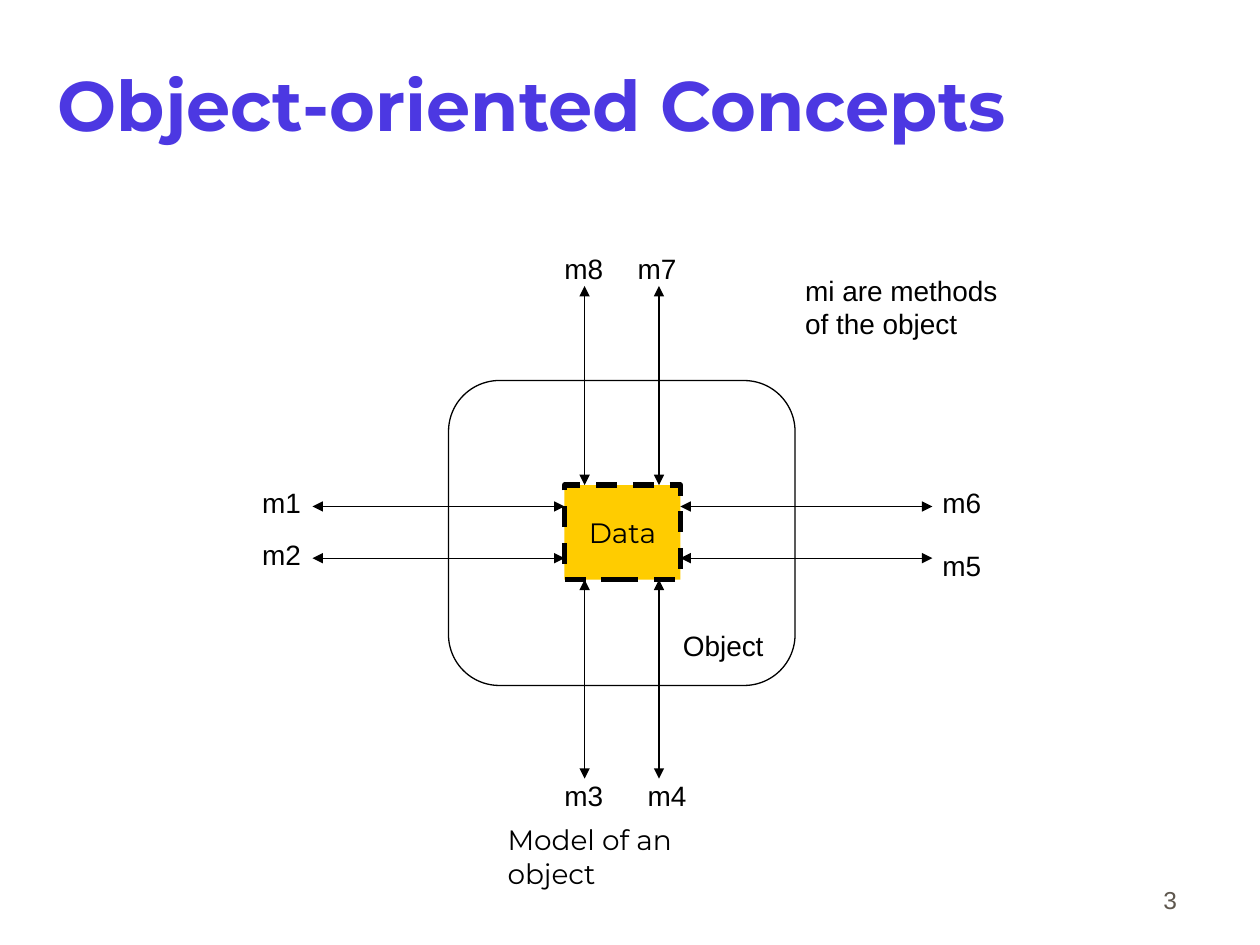
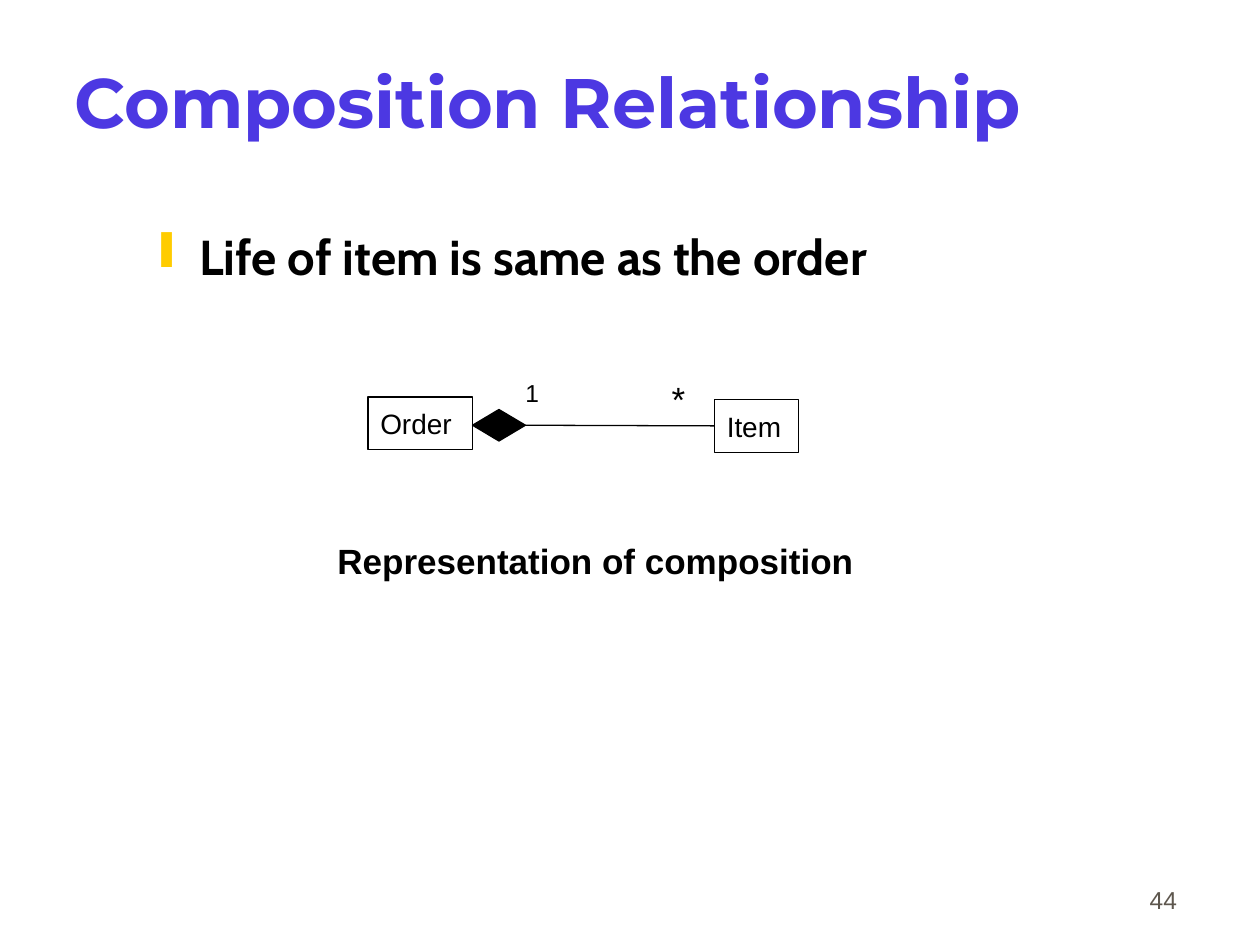
from pptx import Presentation
from pptx.dml.color import RGBColor
from pptx.enum.dml import MSO_LINE
from pptx.enum.shapes import MSO_CONNECTOR, MSO_SHAPE
from pptx.enum.text import MSO_ANCHOR, MSO_AUTO_SIZE, PP_ALIGN
from pptx.oxml.ns import qn
from pptx.util import Inches, Pt
from lxml import etree

RECT, ROUNDED = MSO_SHAPE.RECTANGLE, MSO_SHAPE.ROUNDED_RECTANGLE
DIAMOND = MSO_SHAPE.FLOWCHART_DECISION
STRAIGHT, DASH = MSO_CONNECTOR.STRAIGHT, MSO_LINE.DASH
LEFT, CENTER, RIGHT = PP_ALIGN.LEFT, PP_ALIGN.CENTER, PP_ALIGN.RIGHT
TOP, MIDDLE, BOTTOM = MSO_ANCHOR.TOP, MSO_ANCHOR.MIDDLE, MSO_ANCHOR.BOTTOM
SIDE_LEFT, SIDE_RIGHT = 1, 3

BLACK, PURPLE, YELLOW, GREY = "000000", "4C38E2", "FFCC00", "5E574E"
SANS, DISPLAY, BODY = "Arial", "Montserrat", "Cabin"
TEXT_INSETS, TITLE_INSETS, NO_INSETS = (0.1, 0.05), (0.02, 0.05), (0, 0)
TITLE_SIZE = (8.5, 1.25)
NUMBER_BOX = (7.36, 6.81, 2.08, 0.5)

# Object model: boxes are left, top, width, height in inches
OBJECT_BOX = (3.56, 3.02, 2.75, 2.42)
DATA_BOX = (4.48, 3.85, 0.92, 0.75)
REACH_ACROSS, REACH_UP = 2, 1.58
LABEL_SIZE = (0.31, 0.27)
# Method, side of the data it touches, arrow's place on that side, label's corner
METHODS = [
    ("m1", "left", 4.02, (2.08, 3.85)),
    ("m2", "left", 4.43, (2.08, 4.27)),
    ("m3", "bottom", 4.64, (4.48, 6.18)),
    ("m4", "bottom", 5.23, (5.14, 6.18)),
    ("m5", "right", 4.43, (7.48, 4.35)),
    ("m6", "right", 4.02, (7.48, 3.85)),
    ("m7", "top", 5.23, (5.06, 2)),
    ("m8", "top", 4.64, (4.48, 2)),
]
OBJECT_NOTES = [
    ("Object", (5.42, 4.99, 0.7, 0.27), SANS, NO_INSETS),
    ("mi are methods\nof the object", (6.39, 2.17, 1.6, 0.53), SANS, NO_INSETS),
    ("Model of an object", (3.93, 6.48, 2.14, 0.37), DISPLAY, TEXT_INSETS),
]

# Composition diagram
CLASSES = [("Order", (2.92, 3.15, 0.83, 0.42)), ("Item", (5.67, 3.17, 0.67, 0.42))]
DIAMOND_BOX = (3.75, 3.25, 0.42, 0.25)
MULTIPLICITIES = [("1", (4.17, 3, 0.11, 0.23), 14), ("*", (5.33, 3, 0.11, 0.33), 20)]
STATEMENT = ("Life of item is same as the order", (0.75, 1.75, 8.5, 0.83))
CAPTION = ("Representation of composition", (2.58, 4.23, 4.3, 0.44))


def rgb(code):
    return RGBColor.from_string(code)


def inches(values):
    return [Inches(value) for value in values]


def write(shape, text, size=16, font=SANS, color=BLACK, bold=False, align=LEFT,
          anchor=TOP, insets=TEXT_INSETS, wrap=True, bullet=None):
    frame = shape.text_frame
    frame.text = text
    frame.word_wrap = wrap
    frame.auto_size = MSO_AUTO_SIZE.NONE
    frame.vertical_anchor = anchor
    frame.margin_left = frame.margin_right = Inches(insets[0])
    frame.margin_top = frame.margin_bottom = Inches(insets[1])
    for paragraph in frame.paragraphs:
        paragraph.alignment = align
        if bullet:
            add_bullet(paragraph, *bullet)
        for run in paragraph.runs:
            run.font.size, run.font.name, run.font.bold = Pt(size), font, bold
            run.font.color.rgb = rgb(color)


def add_bullet(paragraph, char, color, margin, indent):
    properties = paragraph._p.get_or_add_pPr()
    properties.set("marL", str(Inches(margin)))
    properties.set("indent", str(Inches(indent)))
    bullet_color = etree.SubElement(properties, qn("a:buClr"))
    etree.SubElement(bullet_color, qn("a:srgbClr"), val=color)
    etree.SubElement(properties, qn("a:buChar"), char=char)


def add_text(slide, text, box, **style):
    write(slide.shapes.add_textbox(*inches(box)), text, **style)


def add_box(slide, preset, box, fill=None, weight=0.75, dash=None):
    shape = slide.shapes.add_shape(preset, *inches(box))
    shape.shadow.inherit = False
    if fill:
        shape.fill.solid()
        shape.fill.fore_color.rgb = rgb(fill)
    else:
        shape.fill.background()
    shape.line.color.rgb = rgb(BLACK)
    shape.line.width = Pt(weight)
    if dash:
        shape.line.dash_style = dash
    return shape


def add_line(slide, start, end, arrows=False):
    line = slide.shapes.add_connector(STRAIGHT, *inches(start + end))
    line.line.color.rgb = rgb(BLACK)
    line.line.width = Pt(0.75)
    if arrows:
        for tip in ("a:headEnd", "a:tailEnd"):
            etree.SubElement(line.line._get_or_add_ln(), qn(tip), type="triangle")
    etree.SubElement(line._element.spPr, qn("a:effectLst"))
    return line


def add_slide(prs, title, corner, number):
    slide = prs.slides.add_slide(prs.slide_layouts[5])
    heading = slide.shapes.title
    heading.left, heading.top, heading.width, heading.height = inches(corner + TITLE_SIZE)
    write(heading, title, size=40, font=DISPLAY, color=PURPLE, bold=True,
          anchor=MIDDLE, insets=TITLE_INSETS)
    add_text(slide, str(number), NUMBER_BOX, size=14, color=GREY, align=RIGHT, anchor=BOTTOM)
    return slide


def arrow_ends(side, place):
    """Return the outer end and the end that touches the data box."""
    left, top, width, height = DATA_BOX
    if side in ("left", "right"):
        edge, step = (left, -REACH_ACROSS) if side == "left" else (left + width, REACH_ACROSS)
        return (edge + step, place), (edge, place)
    edge, step = (top, -REACH_UP) if side == "top" else (top + height, REACH_UP)
    return (place, edge + step), (place, edge)


def build_object_model(prs):
    slide = add_slide(prs, "Object-oriented Concepts", (0.44, 0.2), 3)
    add_box(slide, ROUNDED, OBJECT_BOX)
    data = add_box(slide, RECT, DATA_BOX, fill=YELLOW, weight=3, dash=DASH)
    write(data, "Data", font=DISPLAY, align=CENTER, anchor=MIDDLE)
    for method, side, place, corner in METHODS:
        add_line(slide, *arrow_ends(side, place), arrows=True)
        add_text(slide, method, corner + LABEL_SIZE, insets=NO_INSETS, wrap=False)
    for note, box, font, insets in OBJECT_NOTES:
        add_text(slide, note, box, font=font, insets=insets)


def build_composition(prs):
    slide = add_slide(prs, "Composition Relationship", (0.57, 0.17), 44)
    statement, box = STATEMENT
    add_text(slide, statement, box, size=28, font=BODY, bold=True,
             insets=TITLE_INSETS, bullet=("❙", YELLOW, 0.81, -0.31))
    class_boxes = {}
    for name, box in CLASSES:
        class_boxes[name] = add_box(slide, RECT, box)
        write(class_boxes[name], name, anchor=MIDDLE)
    diamond = add_box(slide, DIAMOND, DIAMOND_BOX, fill=BLACK)
    link = add_line(slide, (4.17, 3.38), (5.67, 3.38))
    link.begin_connect(diamond, SIDE_RIGHT)
    link.end_connect(class_boxes["Item"], SIDE_LEFT)
    for count, box, size in MULTIPLICITIES:
        add_text(slide, count, box, size=size, insets=NO_INSETS, wrap=False)
    caption, box = CAPTION
    add_text(slide, caption, box, size=20, bold=True, wrap=False)


def main():
    prs = Presentation()
    prs.slide_width, prs.slide_height = Inches(10), Inches(7.5)
    build_object_model(prs)
    build_composition(prs)
    prs.save("out.pptx")


if __name__ == "__main__":
    main()
